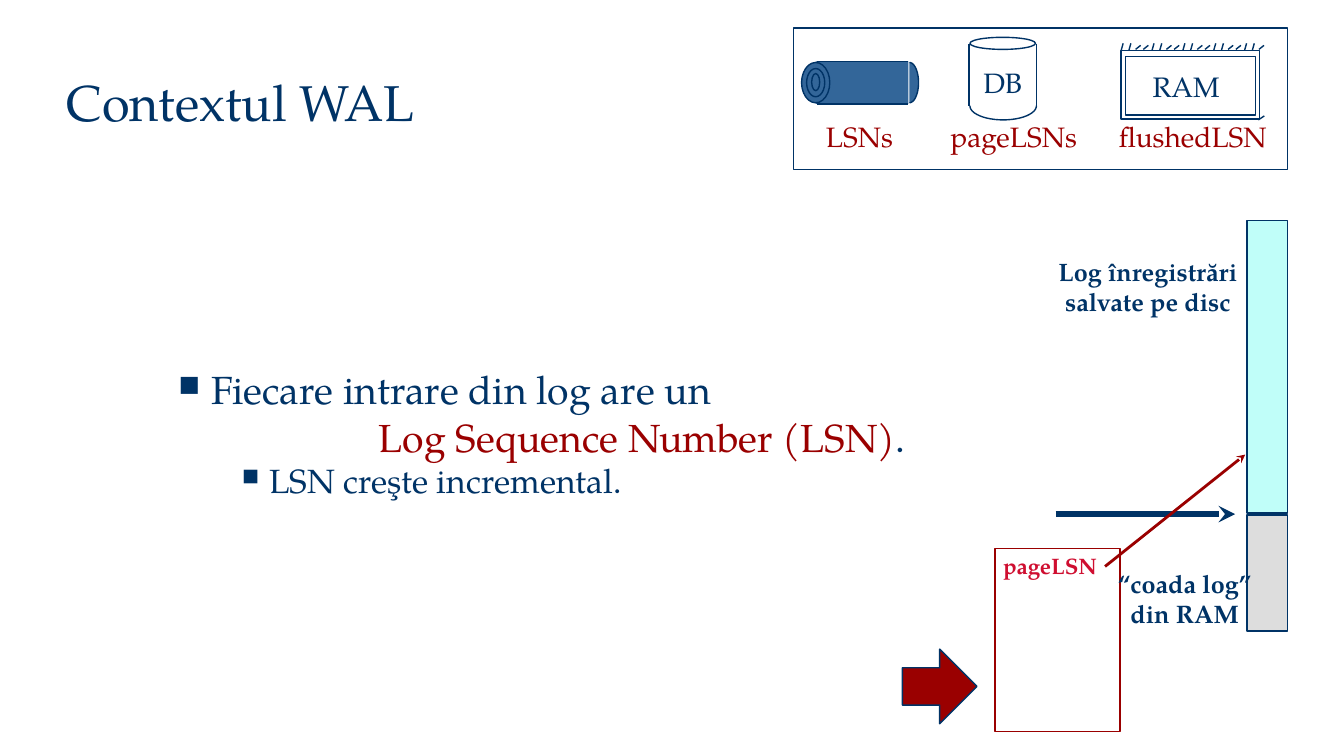
from dataclasses import dataclass
from math import cos, pi, sin

from lxml import etree
from pptx import Presentation
from pptx.dml.color import RGBColor
from pptx.enum.shapes import MSO_CONNECTOR, MSO_SHAPE
from pptx.enum.text import MSO_ANCHOR, PP_ALIGN
from pptx.oxml.ns import qn
from pptx.util import Inches, Pt

RECT, OVAL, RIGHT_ARROW = MSO_SHAPE.RECTANGLE, MSO_SHAPE.OVAL, MSO_SHAPE.RIGHT_ARROW
STRAIGHT = MSO_CONNECTOR.STRAIGHT
LEFT, CENTER = PP_ALIGN.LEFT, PP_ALIGN.CENTER
TOP, MIDDLE = MSO_ANCHOR.TOP, MSO_ANCHOR.MIDDLE


@dataclass(frozen=True)
class Theme:
    font: str = "TeX Gyre Pagella"
    navy: str = "003366"
    red: str = "9A0000"
    crimson: str = "CF0E30"
    steel: str = "336699"
    aqua: str = "C0FEF9"
    gray: str = "DDDDDD"
    white: str = "FFFFFF"
    title: int = 36
    body: int = 28
    sub: int = 24
    label: int = 20
    note: int = 18
    small: int = 16


theme = Theme()
prs = Presentation()
prs.slide_width, prs.slide_height = Inches(13.33), Inches(7.5)
slide = prs.slides.add_slide(prs.slide_layouts[6])
shapes = slide.shapes


def add_text(text, box, size=theme.label, color=theme.navy, bold=False,
             align=CENTER, anchor=TOP, wrap=False):
    """Add a text box; each line of text becomes a paragraph."""
    frame = shapes.add_textbox(*map(Inches, box)).text_frame
    frame.word_wrap, frame.vertical_anchor = wrap, anchor
    frame.text = text
    for paragraph in frame.paragraphs:
        paragraph.alignment = align
        for run in paragraph.runs:
            run.font.name, run.font.size, run.font.bold = theme.font, Pt(size), bold
            run.font.color.rgb = RGBColor.from_string(color)
    return frame


def style(item, fill=None, line=theme.navy, width=1):
    """Set fill and outline, and leave out the shadow."""
    if hasattr(item, "fill"):
        item.shadow.inherit = False
        if fill:
            item.fill.solid()
            item.fill.fore_color.rgb = RGBColor.from_string(fill)
        else:
            item.fill.background()
    else:
        etree.SubElement(item._element.spPr, qn("a:effectLst"))
    if line:
        item.line.color.rgb = RGBColor.from_string(line)
        item.line.width = Pt(width)
    else:
        item.line.fill.background()
    return item


# Title
add_text("Contextul WAL", (0.56, 0.65, 7.2, 0.71), size=theme.title,
         align=LEFT, anchor=MIDDLE, wrap=True)

# Explanation: margin, hanging indent, bullet size and type size per line
statement = add_text(
    "Fiecare intrare din log are un\nLog Sequence Number (LSN).\nLSN creşte incremental.",
    (1.67, 3.58, 7.66, 2.06), size=theme.body, align=LEFT, wrap=True)
levels = [(0.33, -0.33, 75, theme.body), (1.99, 0, None, theme.body),
          (0.9, -0.27, 70, theme.sub)]
for paragraph, (margin, indent, bullet_size, size) in zip(statement.paragraphs, levels):
    props = paragraph._p.get_or_add_pPr()
    props.set("marL", str(Inches(margin)))
    props.set("indent", str(Inches(indent)))
    if bullet_size:
        bullet_color = etree.SubElement(props, qn("a:buClr"))
        etree.SubElement(bullet_color, qn("a:srgbClr"), val=theme.navy)
        etree.SubElement(props, qn("a:buSzPct"), val=str(bullet_size * 1000))
        etree.SubElement(props, qn("a:buChar"), char="■")
    paragraph.runs[0].font.size = Pt(size)
lsn_term = statement.paragraphs[1].runs[0]
lsn_term.text = "Log Sequence Number (LSN)"
lsn_term.font.color.rgb = RGBColor.from_string(theme.red)
full_stop = statement.paragraphs[1].add_run()
full_stop.text = "."
full_stop.font.name, full_stop.font.size = theme.font, Pt(theme.body)
full_stop.font.color.rgb = RGBColor.from_string(theme.navy)

# Boxes, cylinder ends and log parts, from back to front
parts = [
    (RECT, (7.87, 0.28, 4.9, 1.4), theme.white, theme.navy),    # legend
    (OVAL, (9.62, 0.37, 0.65, 0.12), None, theme.navy),         # database top
    (RECT, (11.12, 0.5, 1.37, 0.68), None, theme.navy),         # memory
    (RECT, (11.16, 0.56, 1.29, 0.58), None, theme.navy),
    (RECT, (8.09, 0.61, 0.92, 0.42), theme.steel, None),        # log roll
    (OVAL, (7.95, 0.62, 0.28, 0.4), theme.steel, theme.navy),
    (OVAL, (8, 0.68, 0.18, 0.28), theme.steel, theme.navy),
    (OVAL, (8.05, 0.73, 0.08, 0.17), theme.steel, theme.navy),
    (RECT, (12.37, 2.19, 0.4, 2.9), theme.aqua, theme.navy),    # log on disk
    (RECT, (12.37, 5.11, 0.4, 1.15), theme.gray, theme.navy),   # log tail
    (RECT, (9.87, 5.44, 1.24, 1.82), None, theme.red),          # page
    (RIGHT_ARROW, (8.95, 6.44, 0.74, 0.74), theme.red, theme.navy),
]
for kind, box, fill, line in parts:
    style(shapes.add_shape(kind, *map(Inches, box)), fill, line)

# Half ellipses: database bottom and the right end of the log roll
arcs = [(9.95, 1.05, 0.33, 0.14, 0, None), (9.02, 0.82, 0.09, 0.2, -pi / 2, theme.steel)]
for x, y, rx, ry, start, fill in arcs:
    angles = [start + pi * step / 24 for step in range(25)]
    points = [(Inches(x + rx * cos(a)), Inches(y + ry * sin(a))) for a in angles]
    outline = shapes.build_freeform(*points[0])
    outline.add_line_segments(points[1:], close=False)
    style(outline.convert_to_shape(), fill)

# Straight edges of the cylinder and the roll, and the memory pins
edges = [(x, 0.44, x, 1.05) for x in (9.61, 10.28)]
edges += [(8.1, y, 9.01, y) for y in (0.61, 1.03)]
for pin in range(19):
    x = 11.12 + pin * 0.0765
    steep = pin % 4 < 2
    edges.append((x, 0.5, x + 0.02, 0.43) if steep else (x + 0.04, 0.45, x - 0.01, 0.49))
edges.append((12.54, 1.15, 12.48, 1.19))
for edge in edges:
    style(shapes.add_connector(STRAIGHT, *map(Inches, edge)))

# Arrows to the log
arrows = [((10.47, 5.1, 12.25, 5.1), theme.navy, 4),
          ((10.96, 5.62, 12.35, 4.51), theme.red, 2)]
for ends, color, width in arrows:
    arrow = style(shapes.add_connector(STRAIGHT, *map(Inches, ends)), line=color, width=width)
    etree.SubElement(arrow.line._get_or_add_ln(), qn("a:tailEnd"), type="stealth")

# Legend labels
for text, box, color in [
    ("LSNs", (8.09, 1.14, 0.87, 0.43), theme.red),
    ("DB", (9.65, 0.6, 0.59, 0.43), theme.navy),
    ("pageLSNs", (9.32, 1.14, 1.47, 0.43), theme.red),
    ("RAM", (11.33, 0.64, 0.87, 0.43), theme.navy),
    ("flushedLSN", (10.99, 1.14, 1.68, 0.43), theme.red),
]:
    add_text(text, box, color=color)

# Log and page labels
for text, box, size, color in [
    ("pageLSN", (9.84, 5.43, 1.15, 0.37), theme.small, theme.crimson),
    ("Log înregistrări\nsalvate pe disc", (10.39, 2.49, 1.99, 0.7), theme.note, theme.navy),
    ("“coada log”\ndin RAM", (10.98, 5.59, 1.54, 0.7), theme.note, theme.navy),
]:
    add_text(text, box, size=size, color=color, bold=True)

prs.save("out.pptx")
